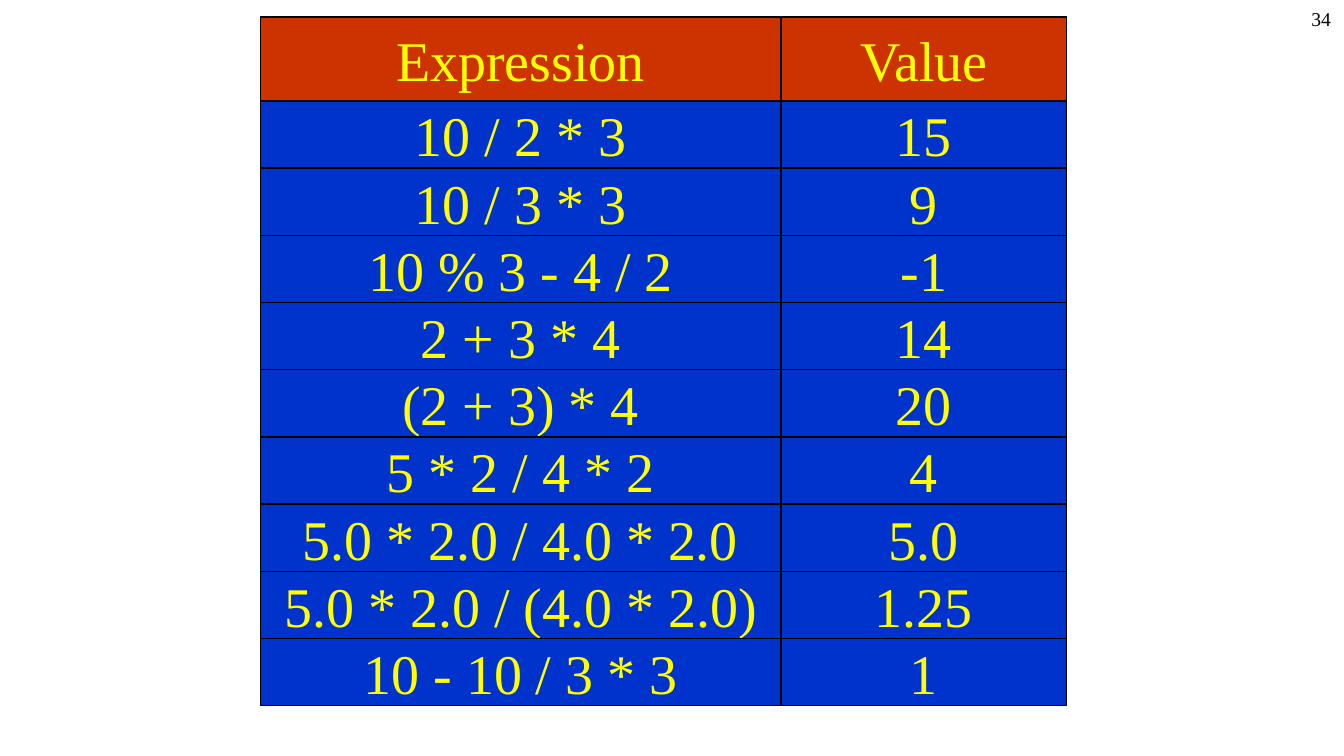
from typing import NamedTuple

from pptx import Presentation
from pptx.dml.color import RGBColor
from pptx.enum.shapes import MSO_SHAPE
from pptx.enum.text import MSO_ANCHOR, PP_ALIGN
from pptx.util import Cm, Pt

BLACK = RGBColor(0x00, 0x00, 0x00)
RED = RGBColor(0xCC, 0x33, 0x00)
BLUE = RGBColor(0x00, 0x33, 0xCC)
YELLOW = RGBColor(0xFF, 0xFF, 0x00)

FACE = "Times New Roman"
LEFT, TOP = 4.92, 0.32
WIDTHS = (9.84, 5.4)
HEAD_H, ROW_H = 1.59, 1.27


class Row(NamedTuple):
    expr: str
    value: str


HEAD = Row("Expression", "Value")
ROWS = (
    Row("10 / 2 * 3", "15"),
    Row("10 / 3 * 3", "9"),
    Row("10 % 3 - 4 / 2", "-1"),
    Row("2 + 3 * 4", "14"),
    Row("(2 + 3) * 4", "20"),
    Row("5 * 2 / 4 * 2", "4"),
    Row("5.0 * 2.0 / 4.0 * 2.0", "5.0"),
    Row("5.0 * 2.0 / (4.0 * 2.0)", "1.25"),
    Row("10 - 10 / 3 * 3", "1"),
)


def write(shape, text: str, size: float, color: RGBColor, align: PP_ALIGN, **frame) -> None:
    """Put one line of text in a shape; extra names set the text frame."""
    for name, value in frame.items():
        setattr(shape.text_frame, name, value)
    par = shape.text_frame.paragraphs[0]
    par.alignment = align
    run = par.add_run()
    run.text = text
    for name, value in {"name": FACE, "size": Pt(size)}.items():
        setattr(run.font, name, value)
    run.font.color.rgb = color


def draw_row(slide, row: Row, top: float, height: float, fill: RGBColor) -> None:
    left = LEFT
    for text, width in zip(row, WIDTHS):
        cell = slide.shapes.add_shape(
            MSO_SHAPE.RECTANGLE, Cm(left), Cm(top), Cm(width), Cm(height)
        )
        cell.shadow.inherit = False
        cell.fill.solid()
        cell.fill.fore_color.rgb = fill
        cell.line.color.rgb = BLACK
        cell.line.width = Pt(0.75)
        write(cell, text, 30, YELLOW, PP_ALIGN.CENTER,
              word_wrap=False, vertical_anchor=MSO_ANCHOR.MIDDLE)
        left += width


def main() -> None:
    deck = Presentation()
    deck.slide_width, deck.slide_height = Cm(25.4), Cm(14.29)
    slide = deck.slides.add_slide(deck.slide_layouts[6])

    number = slide.shapes.add_textbox(Cm(20.11), Cm(0), Cm(5.29), Cm(0.95))
    write(number, "34", 10.5, BLACK, PP_ALIGN.RIGHT, word_wrap=True)

    draw_row(slide, HEAD, TOP, HEAD_H, RED)
    for i, row in enumerate(ROWS):
        draw_row(slide, row, TOP + HEAD_H + i * ROW_H, ROW_H, BLUE)

    deck.save("out.pptx")


if __name__ == "__main__":
    main()
